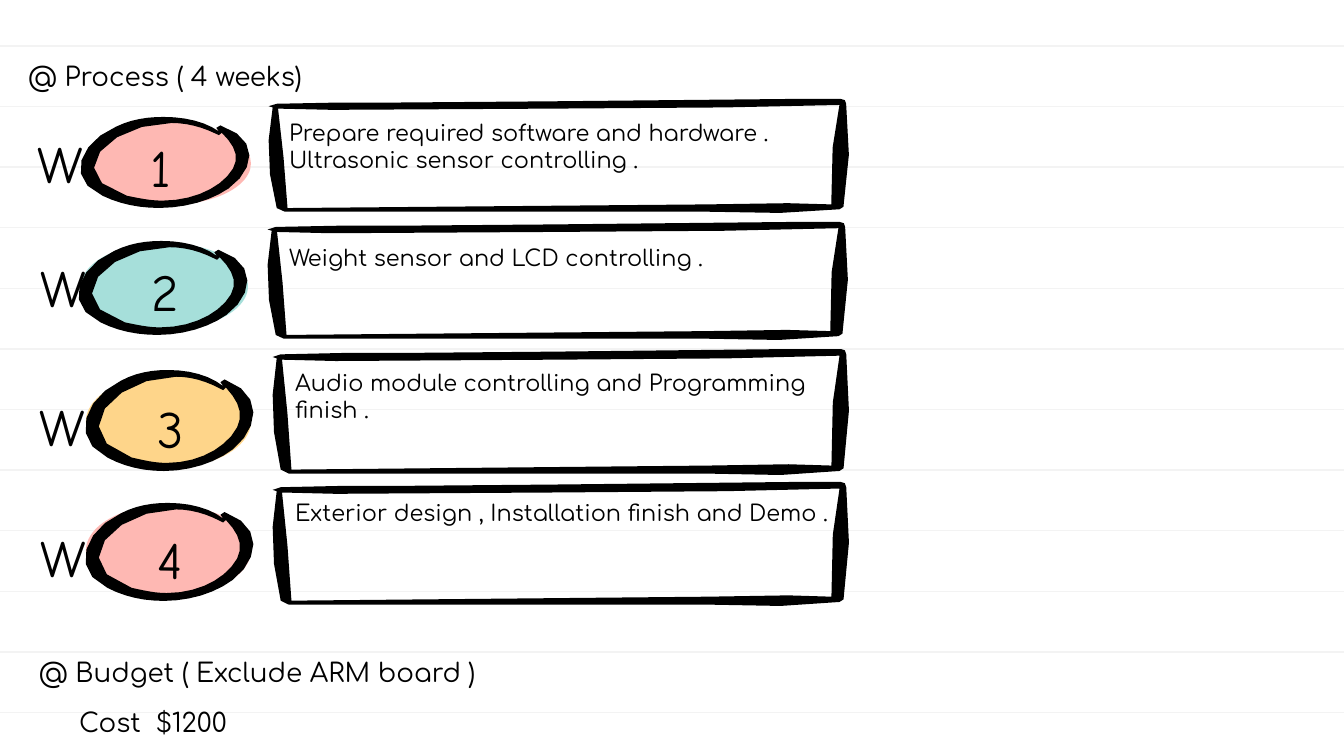
import lxml.etree
import pptx
import pptx.dml.color
import pptx.enum.shapes
import pptx.enum.text
import pptx.oxml.ns
import pptx.util

RGB = pptx.dml.color.RGBColor
BLACK = RGB(0x00, 0x00, 0x00)
WHITE = RGB(0xFF, 0xFF, 0xFF)
GREY = RGB(0xF3, 0xF3, 0xF3)
PINK = RGB(0xFE, 0xB8, 0xB3)
TEAL = RGB(0xA6, 0xDF, 0xDA)
GOLD = RGB(0xFE, 0xD5, 0x8A)

SCALE = 9144000 / 1344
LEFT = pptx.enum.text.PP_ALIGN.LEFT
MID = pptx.enum.text.PP_ALIGN.CENTER

CURVES = [
    [(78, 0), (66, 0), (54, 2), (43, 8), (17, 20), (4, 51), (33, 65),
     (46, 72), (60, 75), (75, 75), (94, 75), (113, 69), (126, 59),
     (145, 44), (150, 18), (120, 7), (117, 7), (116, 8), (117, 9),
     (118, 10), (119, 11), (119, 12), (109, 4), (94, 0), (78, 0)],
    [(84, 5), (95, 5), (106, 8), (117, 14), (117, 15), (118, 15), (119, 15),
     (120, 15), (121, 14), (121, 13), (132, 25), (136, 36), (125, 49),
     (115, 61), (97, 69), (77, 69), (68, 69), (60, 67), (51, 65),
     (0, 48), (38, 5), (84, 5)],
]
FRAME = (434, 94, [
    [(388, 0), (210, 2), (96, 3), (54, 3), (8, 4), (2, 6), (5, 7), (2, 34),
     (3, 62), (8, 90), (14, 93), (326, 93), (380, 94), (424, 91), (427, 89),
     (431, 46), (429, 4), (428, 1), (425, 0)],
    [(424, 5), (419, 40), (418, 87), (386, 86), (326, 87), (16, 90), (13, 48),
     (9, 8), (49, 9), (210, 8), (340, 7)],
])

loops = []
for curve in CURVES:
    dots = []
    for k in range(0, len(curve) - 1, 3):
        part = curve[k:k + 4]
        span = max(abs(a - b) for a, b in zip(part[0], part[3]))
        count = 6 if span > 10 else 1
        for step in range(count):
            t = step / count
            mix = ((1 - t) ** 3, 3 * t * (1 - t) ** 2, 3 * t * t * (1 - t), t ** 3)
            dots.append([sum(m * v for m, v in zip(mix, axis)) for axis in zip(*part)])
    loops.append(dots)
RING = (150, 75, loops)

deck = pptx.Presentation()
deck.slide_width, deck.slide_height = round(1344 * SCALE), round(756 * SCALE)
slide = deck.slides.add_slide(deck.slide_layouts[5])
slide.background.fill.solid()
slide.background.fill.fore_color.rgb = WHITE
shapes = slide.shapes


def write(box, area, words, size, face="Comfortaa", align=LEFT, tab=0):
    box.left, box.top, box.width, box.height = [round(v * SCALE) for v in area]
    frame = box.text_frame
    frame.text = words
    frame.word_wrap = True
    frame.auto_size = pptx.enum.text.MSO_AUTO_SIZE.NONE
    frame.vertical_anchor = pptx.enum.text.MSO_ANCHOR.TOP
    para = frame.paragraphs[0]
    para.alignment = align
    if tab:
        prop = para._p.get_or_add_pPr()
        stops = lxml.etree.SubElement(prop, pptx.oxml.ns.qn("a:tabLst"))
        lxml.etree.SubElement(stops, pptx.oxml.ns.qn("a:tab"),
                              pos=str(round(tab * SCALE)), algn="l")
    font = para.runs[0].font
    font.name = face
    font.size = pptx.util.Pt(size)
    font.color.rgb = BLACK


def sketch(form, area):
    wide, high, loops = form
    left, top, width, height = area
    pen = None
    for loop in loops:
        dots = [(round((left + x / wide * width) * SCALE),
                 round((top + y / high * height) * SCALE)) for x, y in loop]
        if pen is None:
            pen = shapes.build_freeform(*dots[0])
        else:
            pen.move_to(*dots[0])
        pen.add_line_segments(dots[1:], close=True)
    shape = pen.convert_to_shape()
    shape.shadow.inherit = False
    shape.fill.solid()
    shape.fill.fore_color.rgb = BLACK
    shape.line.fill.background()


for i in range(12):
    y = round((46 + 60.6 * i) * SCALE)
    rule = shapes.add_connector(pptx.enum.shapes.MSO_CONNECTOR.STRAIGHT,
                                0, y, deck.slide_width, y)
    rule.line.color.rgb = GREY
    rule.line.width = pptx.util.Pt(0.75)
    lxml.etree.SubElement(rule._element.spPr, pptx.oxml.ns.qn("a:effectLst"))

write(shapes.title, (15, 54, 313, 46), "@ Process ( 4 weeks)", 14)

weeks = [
    (PINK, (86, 122, 165, 83), (58, 117, 203, 91), (266, 99, 587, 114),
     (137, 129), (24, 125), (276, 113, 578, 67),
     "Prepare required software and hardware . Ultrasonic sensor controlling ."),
    (TEAL, (81, 243, 167, 87), (56, 241, 203, 94), (265, 222, 587, 118),
     (138, 253), (27, 249), (276, 238, 551, 40),
     "Weight sensor and LCD controlling ."),
    (GOLD, (86, 375, 165, 93), (63, 370, 202, 101), (270, 349, 583, 126),
     (144, 390), (26, 388), (282, 363, 546, 67),
     "Audio module controlling and Programming finish ."),
    (PINK, (86, 505, 165, 91), (63, 503, 202, 98), (270, 482, 583, 124),
     (144, 521), (27, 519), (282, 493, 587, 40),
     "Exterior design , Installation finish and Demo ."),
]
for n, (hue, oval, ring, edge, num, mark, area, task) in enumerate(weeks, 1):
    blob = shapes.add_shape(pptx.enum.shapes.MSO_SHAPE.OVAL,
                            *[round(v * SCALE) for v in oval])
    blob.shadow.inherit = False
    blob.fill.solid()
    blob.fill.fore_color.rgb = hue
    blob.line.fill.background()
    sketch(RING, ring)
    sketch(FRAME, edge)
    write(shapes.add_textbox(0, 0, 0, 0), (*num, 39, 77), str(n), 28, "Comic Neue", MID)
    write(shapes.add_textbox(0, 0, 0, 0), (*mark, 44, 77), "W", 28, "Comic Neue", MID)
    write(shapes.add_textbox(0, 0, 0, 0), area, task, 12)

write(shapes.add_textbox(0, 0, 0, 0), (26, 650, 470, 46),
      "@ Budget ( Exclude ARM board )", 14)
write(shapes.add_textbox(0, 0, 0, 0), (66, 700, 183, 46), "Cost\t$1200", 14, tab=77)

deck.save("out.pptx")
